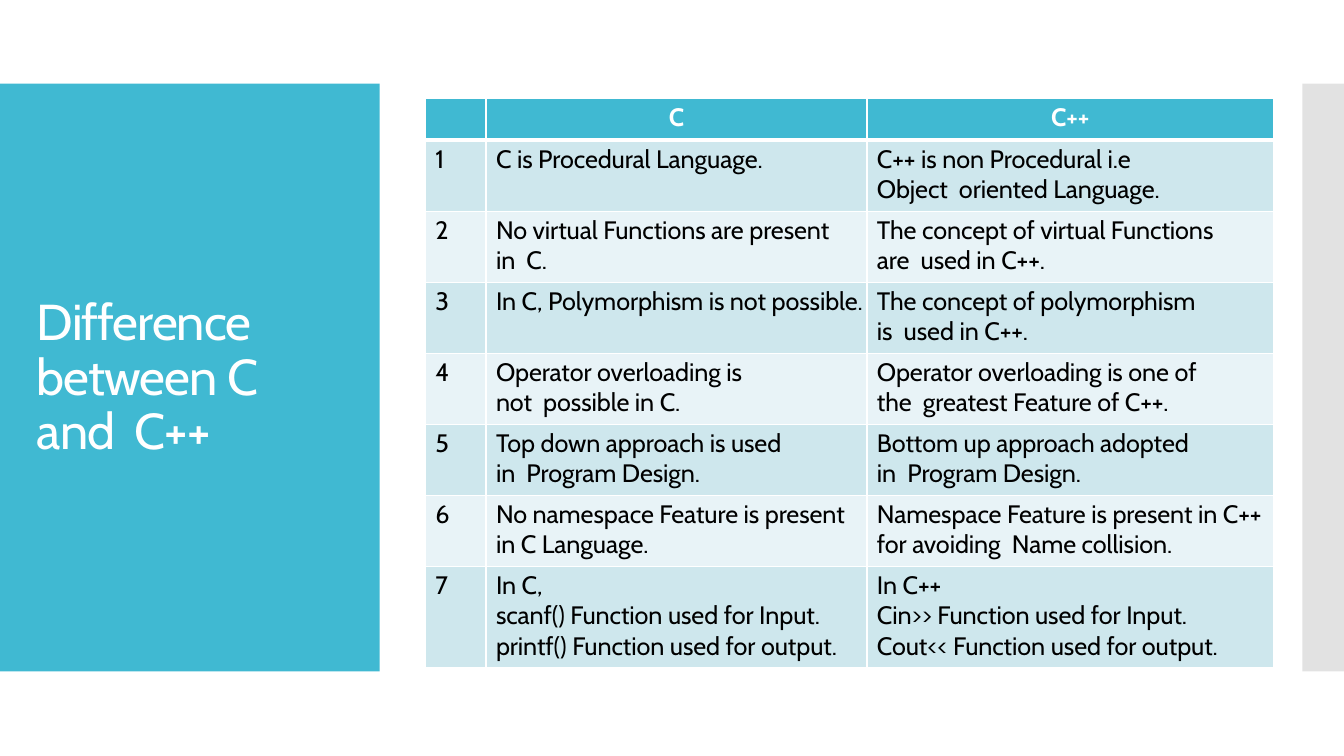
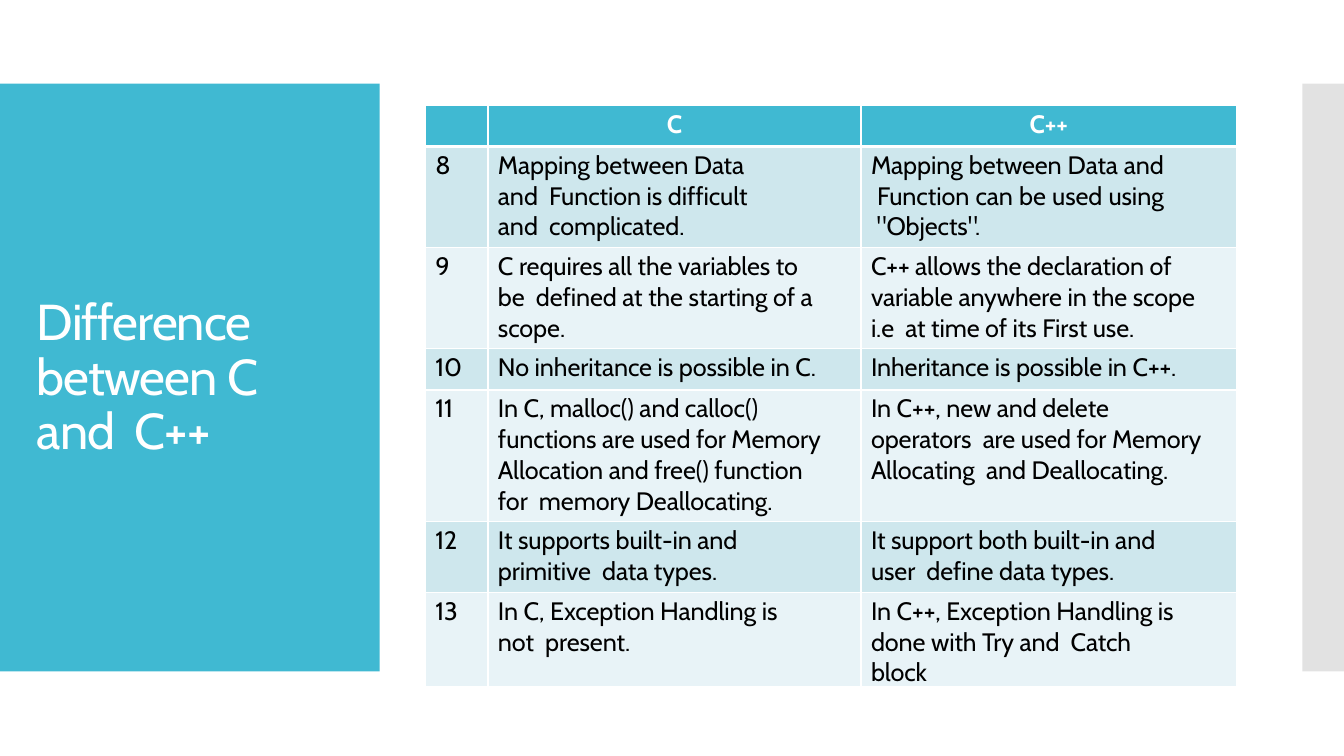
from lxml import etree
from pptx import Presentation
from pptx.dml.color import RGBColor
from pptx.enum.shapes import MSO_SHAPE
from pptx.enum.text import PP_ALIGN
from pptx.oxml.ns import qn
from pptx.util import Cm, Pt

RECT = MSO_SHAPE.RECTANGLE
LEFT, MID, JUST = PP_ALIGN.LEFT, PP_ALIGN.CENTER, PP_ALIGN.JUSTIFY

FONT = "Cabin"
TEAL, GREY, WHITE, BLACK = "40B9D2", "C7C7C7", "FFFFFF", "000000"
BANDS = "CEE7ED", "E8F3F7"
WIDE, HIGH = 33.87, 19.05
BAND_TOP, BAND_HIGH = 2.11, 14.81
PAD = 0.09
INDENT = 0.25

# Each row: number, (C text, right margin), (C++ text, right margin[, alignment])
FIRST = [
    ("1", ("C is Procedural Language.", 0),
     ("C++ is non Procedural i.e Object  oriented Language.", 2.35)),
    ("2", ("No virtual Functions are present in  C.", 0.66),
     ("The concept of virtual Functions are  used in C++.", 1)),
    ("3", ("In C, Polymorphism is not possible.", 0),
     ("The concept of polymorphism is  used in C++.", 1.63)),
    ("4", ("Operator overloading is not  possible in C.", 2.67),
     ("Operator overloading is one of the  greatest Feature of C++.", 1.4)),
    ("5", ("Top down approach is used in  Program Design.", 1.85),
     ("Bottom up approach adopted in  Program Design.", 1.75)),
    ("6", ("No namespace Feature is present\nin C Language.", 0),
     ("Namespace Feature is present in C++\n"
      "for avoiding  Name collision.", 0)),
    ("7", ("In C,\nscanf() Function used for Input.\n"
           "printf() Function used for output.", 0),
     ("In C++\nCin>> Function used for Input.\n"
      "Cout<< Function used for output.", 0)),
]
SECOND = [
    ("8", ("Mapping between Data and  Function is difficult and  complicated.",
           2.35),
     ('Mapping between Data and  Function can be used using  "Objects".',
      1.83, JUST)),
    ("9", ("C requires all the variables to be  defined at the starting of a "
           "scope.", 0.96),
     ("C++ allows the declaration of variable anywhere in the scope i.e  at "
      "time of its First use.", 0.56)),
    ("10", ("No inheritance is possible in C.", 0),
     ("Inheritance is possible in C++.", 0)),
    ("11", ("In C, malloc() and calloc() functions are used for Memory "
            "Allocation and free() function for  memory Deallocating.", 0.76),
     ("In C++, new and delete operators  are used for Memory Allocating  and "
      "Deallocating.", 0.67)),
    ("12", ("It supports built-in and primitive  data types.", 1.95),
     ("It support both built-in and user  define data types.", 1.32)),
    ("13", ("In C, Exception Handling is not  present.", 1.53),
     ("In C++, Exception Handling is done with Try and  Catch block", 1.22)),
]


def paint(part, color):
    """Give a fill or a font colour its hex value."""
    rgb = RGBColor.from_string(color)
    if hasattr(part, "solid"):
        part.solid()
        part.fore_color.rgb = rgb
    else:
        part.color.rgb = rgb


def write(frame, text, size=18, color=BLACK, bold=False, align=LEFT,
          track=-5, lead=None):
    """Fill a text frame, one paragraph a line; track is in 1/100 point."""
    for i, line in enumerate(text.split("\n")):
        para = frame.add_paragraph() if i else frame.paragraphs[0]
        para.alignment = align
        if lead:
            para.line_spacing = Pt(lead)
        run = para.add_run()
        run.text = line
        run.font.name, run.font.size, run.font.bold = FONT, Pt(size), bold
        paint(run.font, color)
        run._r.get_or_add_rPr().set("spc", str(track))


def panel(slide, left, width, color, alpha=None):
    box = slide.shapes.add_shape(RECT, Cm(left), Cm(BAND_TOP), Cm(width),
                                 Cm(BAND_HIGH))
    box.shadow.inherit = False
    box.line.fill.background()
    paint(box.fill, color)
    if alpha:
        tint = box._element.spPr.find(".//" + qn("a:srgbClr"))
        etree.SubElement(tint, qn("a:alpha")).set("val", str(alpha * 1000))


def frame(slide, title):
    """Draw the title panel and the strip at the right edge."""
    panel(slide, 0, 9.57, TEAL)
    panel(slide, 32.82, WIDE - 32.82, GREY, alpha=50)
    box = slide.shapes.add_textbox(Cm(0.93), Cm(7.19), Cm(7.57), Cm(4.34))
    text = box.text_frame
    text.word_wrap = True
    text.margin_left = text.margin_right = text.margin_bottom = 0
    text.margin_top = Cm(0.28)
    write(text, title, size=36, color=WHITE, track=-70, lead=38.9)


def edge(cell, **sides):
    """Draw white cell borders; widths in points by side."""
    props = cell._tc.get_or_add_tcPr()
    for i, side in enumerate("LRTB"):
        line = etree.Element(qn("a:ln" + side),
                             w=str(int(Pt(sides.get(side, 1)))))
        fill = etree.SubElement(line, qn("a:solidFill"))
        etree.SubElement(fill, qn("a:srgbClr")).set("val", WHITE)
        props.insert(i, line)


def put(cell, text, fill, left=INDENT, right=0, **style):
    cell.margin_left, cell.margin_right = Cm(left), Cm(right)
    cell.margin_top, cell.margin_bottom = Cm(PAD), 0
    paint(cell.fill, fill)
    if text:
        write(cell.text_frame, text, **style)


def grid(slide, top, cols, highs, rows):
    """Place the comparison table, header row included."""
    shape = slide.shapes.add_table(len(rows) + 1, len(cols), Cm(10.72),
                                   Cm(top), Cm(sum(cols)), Cm(sum(highs)))
    table = shape.table
    table.first_row = table.horz_banding = False
    for col, width in zip(table.columns, cols):
        col.width = Cm(width)
    for row, high in zip(table.rows, highs):
        row.height = Cm(high)
    for c, name in enumerate(("", "C", "C++")):
        cell = table.cell(0, c)
        put(cell, name, TEAL, left=0, color=WHITE, bold=True, align=MID)
        edge(cell, B=3)
    for r, (num, *pair) in enumerate(rows, 1):
        for c, (text, right, *align) in enumerate([(num, 0), *pair]):
            cell = table.cell(r, c)
            put(cell, text, BANDS[(r - 1) % 2], right=right,
                align=align[0] if align else LEFT)
            edge(cell, T=3 if r == 1 else 1)


def main():
    deck = Presentation()
    deck.slide_width, deck.slide_height = Cm(WIDE), Cm(HIGH)
    one, two, three, four = 1.04, 1.79, 2.55, 3.31
    pages = [
        (2.49, (1.53, 9.6, 10.24), [one] + [two] * 6 + [three], FIRST),
        (2.65, (1.58, 9.4, 9.46), [one, three, three, one, four, two, two],
         SECOND),
    ]
    for page in pages:
        slide = deck.slides.add_slide(deck.slide_layouts[6])
        frame(slide, "Difference between C and  C++")
        grid(slide, *page)
    deck.save("out.pptx")


if __name__ == "__main__":
    main()
